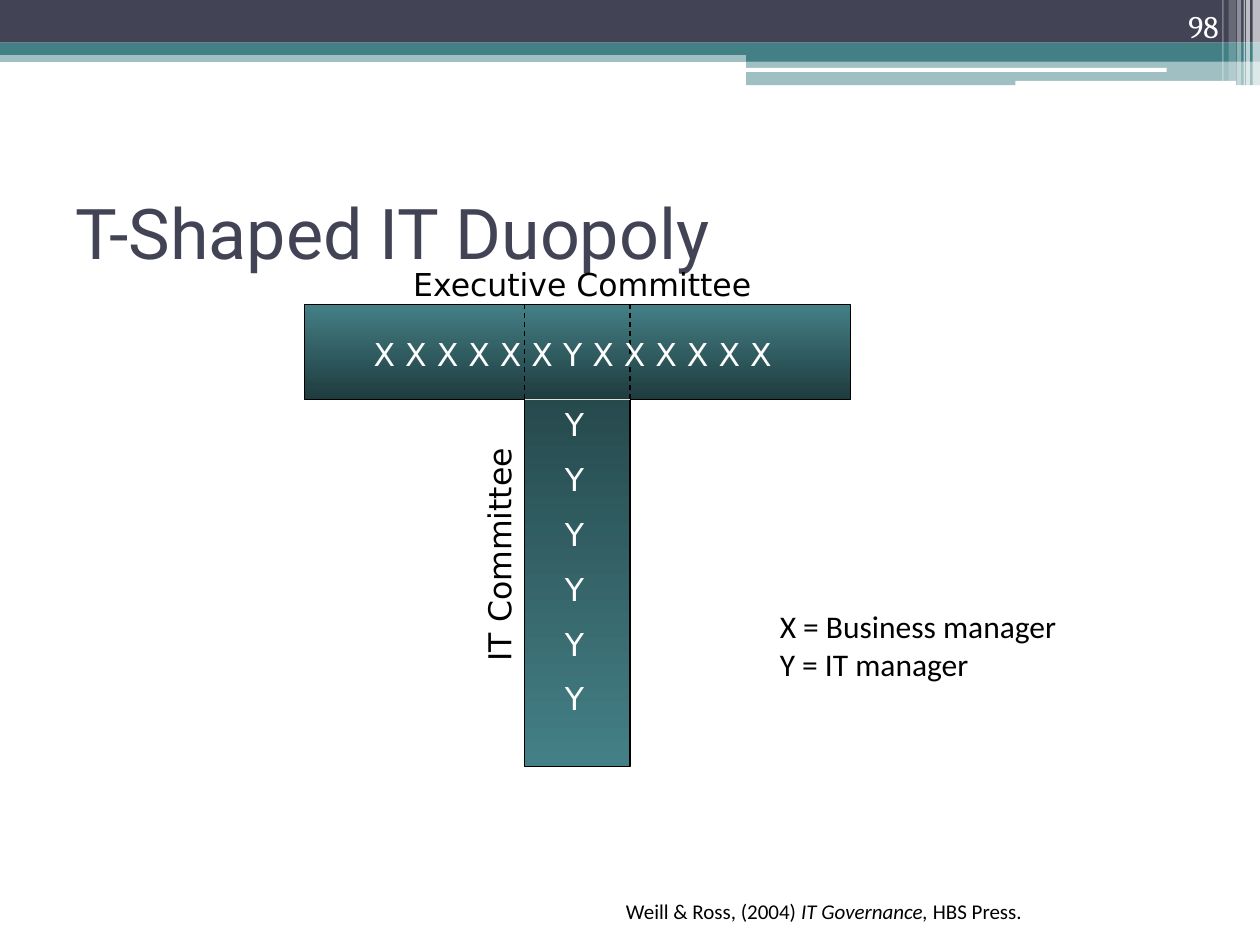
from lxml import etree
from pptx import Presentation
from pptx.dml.color import RGBColor
from pptx.enum.dml import MSO_LINE
from pptx.enum.shapes import MSO_CONNECTOR, MSO_SHAPE
from pptx.enum.text import MSO_ANCHOR, PP_ALIGN
from pptx.oxml.ns import qn
from pptx.util import Cm, Pt

RECT, ROUNDED = MSO_SHAPE.RECTANGLE, MSO_SHAPE.ROUNDED_RECTANGLE
STRAIGHT, DASH = MSO_CONNECTOR.STRAIGHT, MSO_LINE.DASH
LEFT, CENTER, RIGHT = PP_ALIGN.LEFT, PP_ALIGN.CENTER, PP_ALIGN.RIGHT
TOP, MIDDLE, BOTTOM = MSO_ANCHOR.TOP, MSO_ANCHOR.MIDDLE, MSO_ANCHOR.BOTTOM

NAVY = RGBColor(0x42, 0x44, 0x56)
TEAL = RGBColor(0x43, 0x80, 0x86)
DARK_TEAL = RGBColor(0x1F, 0x3B, 0x3E)
GREY = RGBColor(0xDE, 0xDE, 0xDE)
WHITE = RGBColor(0xFF, 0xFF, 0xFF)
BLACK = RGBColor(0, 0, 0)

LABEL_FONT, BODY_FONT = "DejaVu Sans", "Calibri"
SLIDE_W, SLIDE_H = 25.4, 19.05

# The T, in cm: bar across the top, stem below it
BAR_X, BAR_Y, BAR_W, BAR_H = 6.14, 6.14, 11, 1.91
STEM_X, STEM_W, STEM_H = 10.58, 2.12, 9.31
BAR_BOTTOM = BAR_Y + BAR_H


def add_band(s, x, y, w, h, color, opacity=100, kind=RECT):
    band = s.shapes.add_shape(kind, Cm(x), Cm(y), Cm(w), Cm(h))
    band.shadow.inherit = False
    band.line.fill.background()
    band.fill.solid()
    band.fill.fore_color.rgb = color
    if opacity < 100:
        clr = band.fill._xPr.find(".//" + qn("a:srgbClr"))
        etree.SubElement(clr, qn("a:alpha"), val=str(opacity * 1000))


def add_gradient_box(s, x, y, w, h, top_color, bottom_color):
    box = s.shapes.add_shape(RECT, Cm(x), Cm(y), Cm(w), Cm(h))
    box.shadow.inherit = False
    box.fill.gradient()
    box.fill.gradient_angle = 270  # counter-clockwise: runs top to bottom
    for stop, color, pos in zip(box.fill.gradient_stops,
                                (top_color, bottom_color), (0, 1)):
        stop.color.rgb = color
        stop.position = pos
    box.line.color.rgb = BLACK
    box.line.width = Pt(0.75)


def add_line(s, x1, y1, x2, y2, color, dash=None):
    line = s.shapes.add_connector(STRAIGHT, Cm(x1), Cm(y1), Cm(x2), Cm(y2))
    line.line.color.rgb = color
    line.line.width = Pt(0.75)
    if dash:
        line.line.dash_style = dash
    etree.SubElement(line._element.spPr, qn("a:effectLst"))


def add_text(s, x, y, w, h, lines, font, size=18, color=BLACK, align=LEFT,
             anchor=TOP, gap=0, rotation=0):
    """Each line is a list of (text, italic) runs."""
    box = s.shapes.add_textbox(Cm(x), Cm(y), Cm(w), Cm(h))
    box.rotation = rotation
    tf = box.text_frame
    tf.word_wrap = True
    tf.vertical_anchor = anchor
    for i, runs in enumerate(lines):
        p = tf.add_paragraph() if i else tf.paragraphs[0]
        p.alignment = align
        if i and gap:
            p.space_before = Pt(gap)
        for text, italic in runs:
            r = p.add_run()
            r.text = text
            r.font.name, r.font.size = font, Pt(size)
            r.font.italic = italic
            r.font.color.rgb = color


def add_header(s):
    # Horizontal bands
    right_x = 15.04
    right_w = SLIDE_W - right_x
    add_band(s, 0, 1.02, SLIDE_W, 0.23, TEAL, 50)
    add_band(s, 0, 0, SLIDE_W, 0.86, NAVY)
    add_band(s, 0, 0.86, SLIDE_W, 0.25, TEAL)
    add_band(s, right_x, 0.99, right_w, 0.25, TEAL)
    add_band(s, right_x, 1.22, right_w, 0.5, TEAL, 50)
    add_band(s, 15.01, 1.37, 8.51, 0.08, WHITE, kind=ROUNDED)
    add_band(s, 20.47, 1.63, 4.45, 0.1, WHITE, kind=ROUNDED)
    # Translucent stripes at the right edge
    for x, w, h, opacity in ((25.25, 0.15, 1.73, 65), (25.12, 0.08, 1.73, 65),
                             (25.07, 0.03, 1.73, 60), (24.94, 0.08, 1.73, 40),
                             (24.77, 0.15, 1.63, 20), (24.64, 0.03, 1.63, 30)):
        add_band(s, x, 0, w, h, WHITE, opacity)


def add_title(s, text):
    title = s.shapes.title
    title.left, title.top = Cm(1.27), Cm(3.18)
    title.width, title.height = Cm(22.86), Cm(2.97)
    tf = title.text_frame
    tf.text = text
    tf.vertical_anchor = MIDDLE
    p = tf.paragraphs[0]
    p.alignment = LEFT
    font = p.runs[0].font
    font.name, font.size, font.color.rgb = "Roboto", Pt(40), NAVY


def add_t_diagram(s):
    stem_right = STEM_X + STEM_W
    add_gradient_box(s, STEM_X, BAR_Y, STEM_W, STEM_H, DARK_TEAL, TEAL)
    add_gradient_box(s, BAR_X, BAR_Y, BAR_W, BAR_H, TEAL, DARK_TEAL)
    # Overlap of the two committees
    for x in (STEM_X, stem_right):
        add_line(s, x, BAR_BOTTOM, x, BAR_Y, BLACK, DASH)
    add_line(s, STEM_X, BAR_BOTTOM, stem_right, BAR_BOTTOM, GREY)
    # Members
    add_text(s, 6.99, 6.63, 9.32, 1.02, [[("X X X X X X Y X X X X X X ", False)]],
             LABEL_FONT, color=WHITE, align=CENTER)
    add_text(s, 10.82, BAR_BOTTOM, 1.52, 6.76, [[("Y", False)]] * 6,
             LABEL_FONT, color=WHITE, align=CENTER, gap=9.7)
    # Committee names
    add_text(s, 7.42, 5.21, 8.64, 1.02, [[("Executive Committee", False)]],
             LABEL_FONT, align=CENTER)
    add_text(s, 5.74, 10.67, 8.64, 1.02, [[("IT Committee", False)]],
             LABEL_FONT, align=CENTER, rotation=270)


def main():
    prs = Presentation()
    prs.slide_width, prs.slide_height = Cm(SLIDE_W), Cm(SLIDE_H)
    s = prs.slides.add_slide(prs.slide_layouts[5])
    add_header(s)
    add_title(s, "T-Shaped IT Duopoly")
    add_t_diagram(s)
    # Legend, source and slide number
    add_text(s, 15.47, 12.12, 8.69, 1.78,
             [[("X = Business manager", False)], [("Y = IT manager", False)]],
             BODY_FONT)
    add_text(s, 12.37, 17.98, 12.45, 0.76,
             [[("Weill & Ross, (2004) ", False), ("IT Governance,", True),
               (" HBS Press.", False)]], BODY_FONT, size=12)
    add_text(s, 22.71, 0, 2.11, 1.02, [[("98", False)]], "Cambria",
             color=WHITE, align=RIGHT, anchor=BOTTOM)
    prs.save("out.pptx")


if __name__ == "__main__":
    main()
